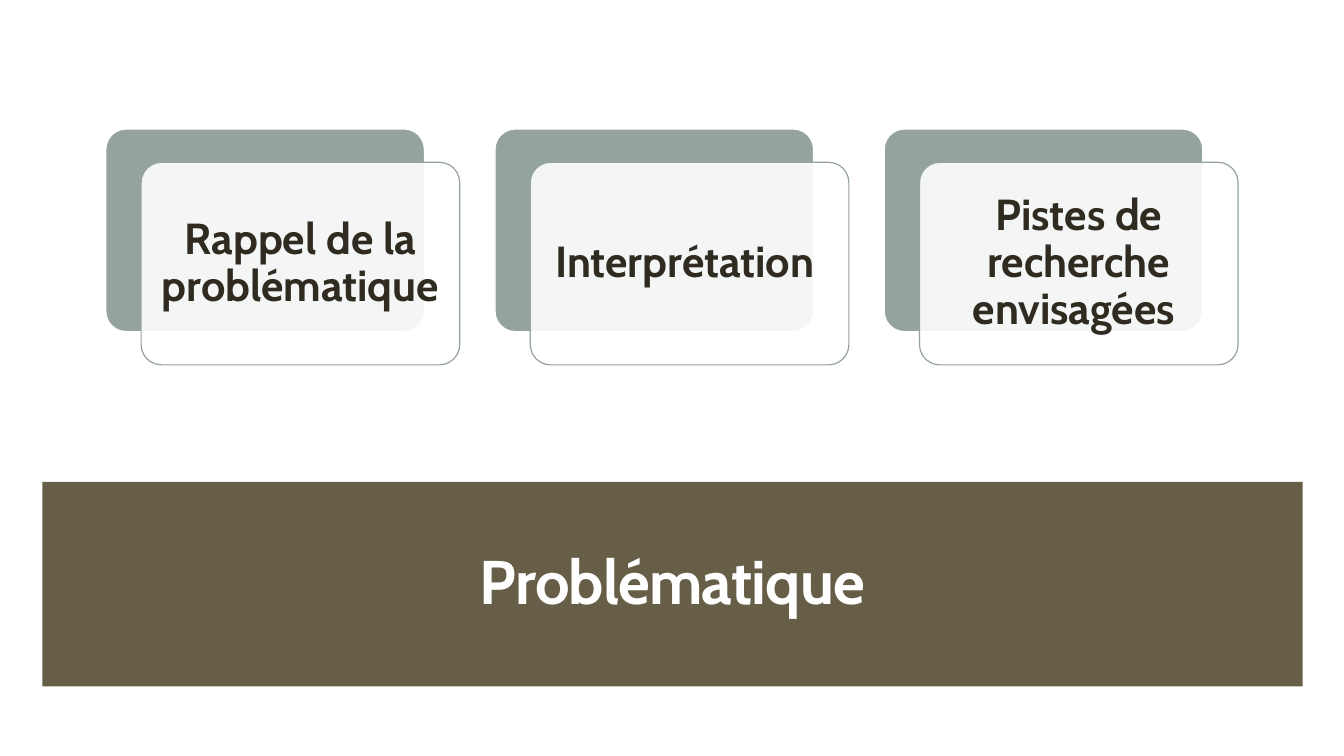
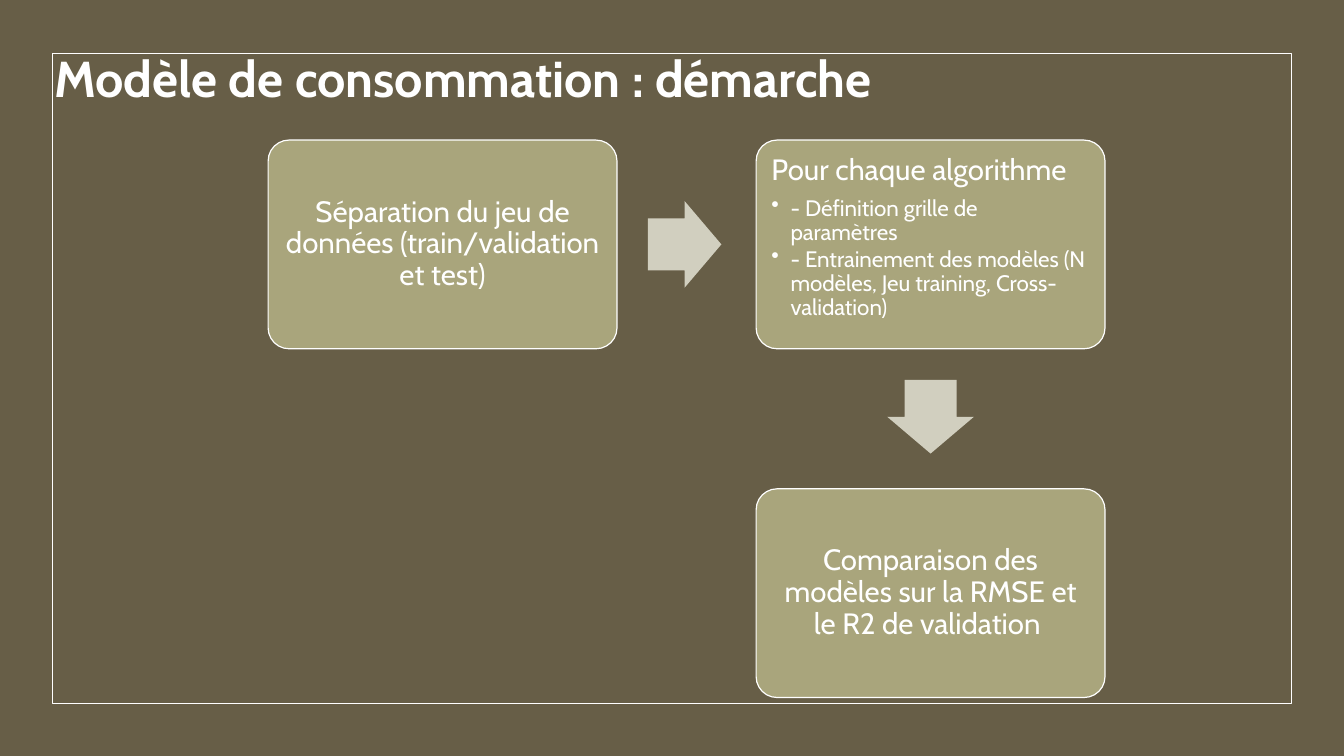
from lxml.etree import SubElement
from pptx import Presentation
from pptx.dml.color import RGBColor
from pptx.enum.shapes import MSO_SHAPE as Preset
from pptx.enum.text import MSO_ANCHOR as Anchor, PP_ALIGN as Align
from pptx.oxml.ns import qn
from pptx.util import Inches, Pt

FONT = "Cabin"
WHITE, BROWN, OLIVE, SAGE, BEIGE, INK = (
    "FFFFFF", "675E47", "A9A57C", "95A39D", "D1CFBF", "2F2B20")
LINE_WIDTH = 0.85
CORNER = 0.1


def paint(target, color):
    """Give a fill or a font a solid colour from a hex string."""
    fill = getattr(target, "fill", target)
    fill.solid()
    fill.fore_color.rgb = RGBColor.from_string(color)


def add_slide(prs, background):
    """Add a blank slide with a plain background."""
    slide = prs.slides.add_slide(prs.slide_layouts[6])
    paint(slide.background, background)
    return slide


def add_block(slide, preset, box, fill=None, line=None, adjust=()):
    """Draw a flat preset shape in a (left, top, width, height) box."""
    block = slide.shapes.add_shape(preset, *map(Inches, box))
    block.shadow.inherit = False
    if fill:
        paint(block, fill)
    else:
        block.fill.background()
    if line:
        paint(block.line, line)
        block.line.width = Pt(LINE_WIDTH)
    else:
        block.line.fill.background()
    for index, value in enumerate(adjust):
        block.adjustments[index] = value
    return block


def set_opacity(shape, percent):
    """Make the solid fill of a shape partly transparent."""
    color = shape.fill._xPr.find(qn("a:solidFill"))[0]
    SubElement(color, qn("a:alpha"), val=str(percent * 1000))


def set_frame(shape, inset, anchor=Anchor.MIDDLE):
    """Prepare the text frame of a shape and return it."""
    frame = shape.text_frame
    frame.word_wrap = True
    frame.vertical_anchor = anchor
    frame.margin_left = frame.margin_right = Inches(inset)
    frame.margin_top = frame.margin_bottom = Inches(inset)
    return frame


def write(paragraph, text, size, color=WHITE, bold=False, align=Align.CENTER,
          spacing=0.9, after=0):
    """Write one styled paragraph."""
    paragraph.text = text
    paragraph.alignment = align
    paragraph.line_spacing = spacing
    paragraph.space_after = Pt(after)
    font = paragraph.font
    font.name, font.size, font.bold = FONT, Pt(size), bold
    paint(font, color)


def add_bullet(paragraph, indent):
    """Give a paragraph a hanging bullet."""
    properties = paragraph._p.get_or_add_pPr()
    properties.set("marL", str(Inches(indent)))
    properties.set("indent", str(-Inches(indent)))
    bullet = SubElement(properties, qn("a:buChar"), char="•")
    properties.find(qn("a:defRPr")).addprevious(bullet)


def add_topic_card(slide, left, top, text):
    """Draw a sage card with a translucent text card in front."""
    width, height = 3.16, 2.01
    add_block(slide, Preset.ROUNDED_RECTANGLE, (left, top, width, height),
              SAGE, WHITE, [CORNER])
    front = add_block(slide, Preset.ROUNDED_RECTANGLE,
                      (left + 0.35, top + 0.33, width, height),
                      WHITE, SAGE, [CORNER])
    set_opacity(front, 90)
    write(set_frame(front, 0.13).paragraphs[0], text, 31, INK, True)


def add_title_band(slide, box, text):
    """Draw the brown band with its centred title."""
    band = add_block(slide, Preset.RECTANGLE, box, BROWN)
    title = set_frame(band, 0.05).paragraphs[0]
    write(title, text, 44, bold=True, after=6)
    title.runs[0]._r.get_or_add_rPr().set("spc", "-60")


def add_step(slide, box, heading, points=()):
    """Draw a process step, with a bullet list when it has points."""
    step = add_block(slide, Preset.ROUNDED_RECTANGLE, box, OLIVE, WHITE, [CORNER])
    frame = set_frame(step, 0.09, Anchor.TOP if points else Anchor.MIDDLE)
    align = Align.LEFT if points else Align.CENTER
    write(frame.paragraphs[0], heading, 21, align=align, after=7 if points else 0)
    for point in points:
        paragraph = frame.add_paragraph()
        write(paragraph, point, 16, align=align, after=2)
        add_bullet(paragraph, 0.19)


def add_arrow(slide, preset, center_x, center_y, width, height):
    """Draw a block arrow around a centre point."""
    box = (center_x - width / 2, center_y - height / 2, width, height)
    add_block(slide, preset, box, BEIGE, adjust=[0.6, 0.5])


def build_section(prs):
    """Build the section slide: three topics above the title band."""
    slide = add_slide(prs, WHITE)
    add_title_band(slide, (0.42, 4.78, 12.5, 2.03), "Problématique")
    topics = ["Rappel de la problématique ", "Interprétation ",
              "Pistes de recherche envisagées "]
    for index, topic in enumerate(topics):
        add_topic_card(slide, 1.05 + 3.86 * index, 1.28, topic)


def add_process(slide, left, top):
    """Lay out three steps, going right and then down."""
    width, height, step_x, step_y = 3.46, 2.07, 4.84, 3.46
    right, bottom = left + step_x, top + step_y
    add_step(slide, (left, top, width, height),
             "Séparation du jeu de données (train/validation et test)")
    add_step(slide, (right, top, width, height), "Pour chaque algorithme",
             ["- Définition grille de paramètres",
              "- Entrainement des modèles (N modèles, Jeu training, Cross-validation)"])
    add_step(slide, (right, bottom, width, height),
             "Comparaison des modèles sur la RMSE et le R2 de validation ")
    add_arrow(slide, Preset.RIGHT_ARROW, (left + width + right) / 2 - 0.02,
              top + height / 2, 0.73, 0.86)
    add_arrow(slide, Preset.DOWN_ARROW, right + width / 2,
              (top + height + bottom) / 2 - 0.02, 0.86, 0.73)


def build_approach(prs):
    """Build the approach slide: framed title and process."""
    slide = add_slide(prs, BROWN)
    add_block(slide, Preset.RECTANGLE, (0.52, 0.53, 12.29, 6.45), line=WHITE)
    title = slide.shapes.add_textbox(*map(Inches, (0.44, 0.42, 9.88, 0.71)))
    title.text_frame.word_wrap = True
    write(title.text_frame.paragraphs[0], "Modèle de consommation : démarche",
          36, bold=True, align=Align.LEFT, spacing=1.0, after=6)
    add_process(slide, 2.66, 1.39)


def main():
    """Build and save the presentation."""
    prs = Presentation()
    prs.slide_width, prs.slide_height = Inches(13.33), Inches(7.5)
    build_section(prs)
    build_approach(prs)
    prs.save("out.pptx")


if __name__ == "__main__":
    main()
